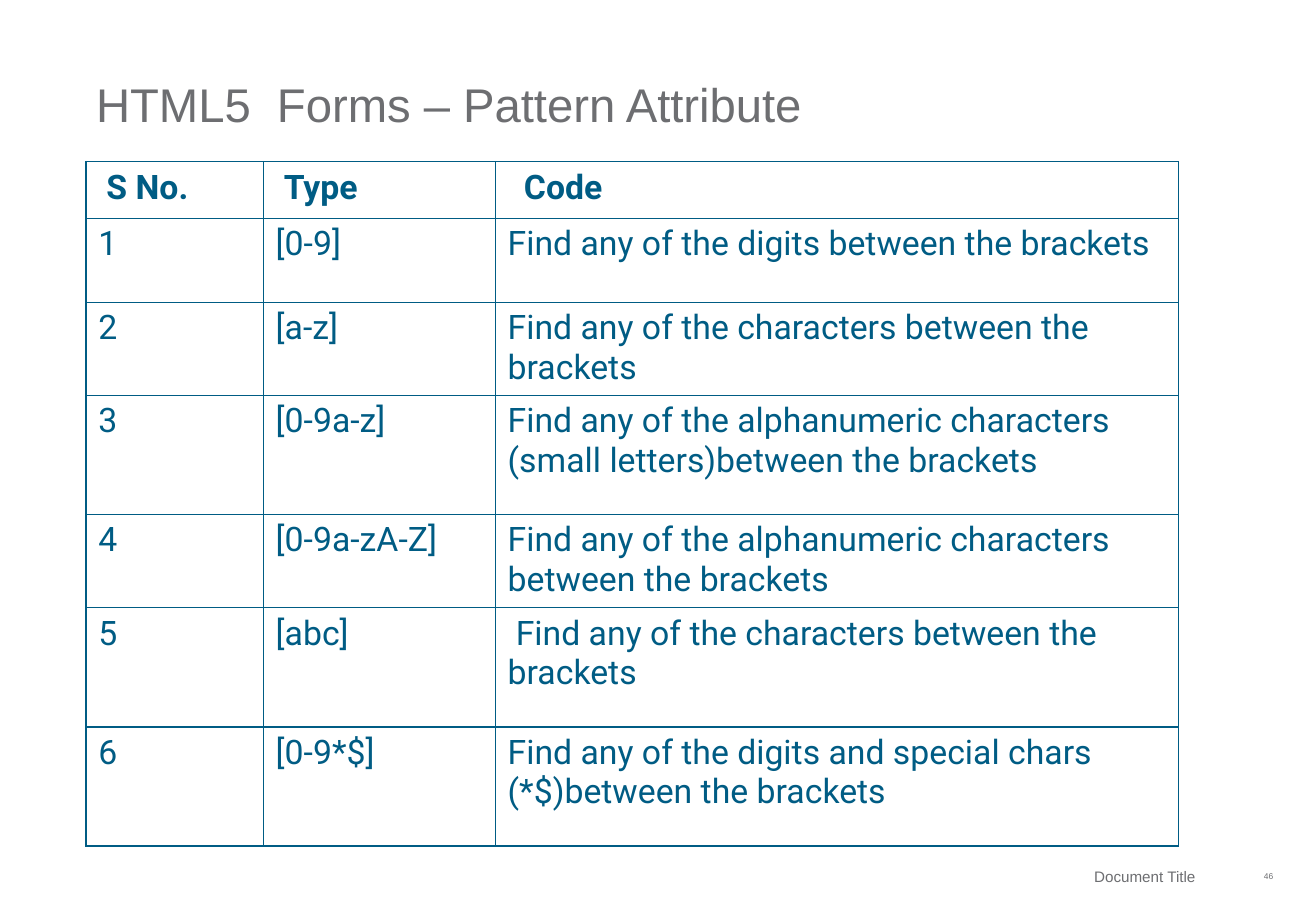
"""Build the HTML5 pattern attribute slide."""
from dataclasses import dataclass

from lxml import etree
from pptx import Presentation
from pptx import util as u
from pptx.dml.color import RGBColor
from pptx.enum import text
from pptx.oxml.ns import qn


@dataclass(frozen=True)
class Theme:
    """Colours, fonts and type sizes."""

    grey: str = "6D6E71"
    blue: str = "005C84"
    white: str = "FFFFFF"
    heading_font: str = "Arial"
    table_font: str = "Roboto"
    title_size: float = 28
    table_size: float = 20
    footer_size: float = 9
    number_size: float = 5


THEME = Theme()
COLUMN_WIDTHS = (3.71, 4.85, 14.28)
SPACE = 0.17
NO_INDENT = (0, 0, 0)
ROWS = (
    (1.19, (SPACE, SPACE, 2 * SPACE), ("S No.", "Type", "Code")),
    (1.75, NO_INDENT, ("1", "[0-9]", "Find any of the digits between the brackets")),
    (1.92, NO_INDENT, ("2", "[a-z]", "Find any of the characters between the brackets")),
    (2.49, NO_INDENT, ("3", "[0-9a-z]", "Find any of the alphanumeric characters "
                       "(small letters)between the brackets")),
    (1.92, NO_INDENT, ("4", "[0-9a-zA-Z]", "Find any of the alphanumeric characters "
                       "between the brackets")),
    (2.49, (0, 0, SPACE), ("5", "[abc]", "Find any of the characters between the brackets")),
    (2.49, NO_INDENT, ("6", "[0-9*$]", "Find any of the digits and special chars "
                       "(*$)between the brackets")),
)


def apply(target, values):
    """Set each named attribute on the target."""
    for name, value in values.items():
        setattr(target, name, value)


def write(para, words, font, size, colour, bold=False):
    """Add one formatted span to a paragraph."""
    span = para.add_run()
    span.text = words
    apply(span.font, {"name": font, "size": u.Pt(size), "bold": bold})
    span.font.color.rgb = RGBColor.from_string(colour)


def add_label(page, words, place, size, align, anchor, inset=(0, 0), spacing=1.0):
    """Add a single-line grey text box."""
    box = page.shapes.add_textbox(*(u.Cm(length) for length in place))
    left, right = inset
    apply(box.text_frame, {
        "word_wrap": True, "vertical_anchor": anchor,
        "margin_left": u.Cm(left), "margin_right": u.Cm(right),
        "margin_top": 0, "margin_bottom": 0,
    })
    para = box.text_frame.paragraphs[0]
    apply(para, {"alignment": align, "line_spacing": spacing})
    write(para, words, THEME.heading_font, size, THEME.grey)


def add_borders(cell):
    """Draw a thin blue line on every side of a cell."""
    properties = cell._tc.get_or_add_tcPr()
    for position, side in enumerate(("lnL", "lnR", "lnT", "lnB")):
        line = etree.Element(qn(f"a:{side}"), w=str(u.Pt(1)))
        fill = etree.SubElement(line, qn("a:solidFill"))
        etree.SubElement(fill, qn("a:srgbClr"), val=THEME.blue)
        properties.insert(position, line)


def fill_cell(cell, words, indent, bold):
    """Write and style one table cell."""
    cell.fill.solid()
    cell.fill.fore_color.rgb = RGBColor.from_string(THEME.white)
    para = cell.text_frame.paragraphs[0]
    para._p.get_or_add_pPr().set("indent", str(u.Cm(indent)))
    write(para, words, THEME.table_font, THEME.table_size, THEME.blue, bold)
    add_borders(cell)


def add_pattern_table(page):
    """Add the table of patterns and their meanings."""
    height = sum(row[0] for row in ROWS)
    place = (1.8, 3.38, sum(COLUMN_WIDTHS), height)
    frame = page.shapes.add_table(len(ROWS), len(COLUMN_WIDTHS), *(u.Cm(x) for x in place))
    table = frame.table
    apply(table, {"first_row": False, "horz_banding": False})
    for column, width in zip(table.columns, COLUMN_WIDTHS):
        column.width = u.Cm(width)
    for index, (row, (row_height, indents, entries)) in enumerate(zip(table.rows, ROWS)):
        row.height = u.Cm(row_height)
        for cell, words, indent in zip(row.cells, entries, indents):
            fill_cell(cell, words, indent, bold=index == 0)


def main():
    """Build and save the deck."""
    deck = Presentation()
    apply(deck, {"slide_width": u.Cm(27.51), "slide_height": u.Cm(19.05)})
    page = deck.slides.add_slide(deck.slide_layouts[6])
    align, anchor = text.PP_ALIGN, text.MSO_ANCHOR
    add_label(page, "46", (25.63, 17.91, 0.99, 0.84), THEME.number_size,
              align.RIGHT, anchor.MIDDLE)
    add_label(page, "Document Title", (15.72, 17.98, 9.65, 0.71), THEME.footer_size,
              align.RIGHT, anchor.MIDDLE, inset=(0, 0.38))
    add_label(page, "HTML5  Forms – Pattern Attribute", (0.64, 1.07, 25.2, 1.7),
              THEME.title_size, align.LEFT, anchor.BOTTOM, inset=(1.37, 0), spacing=0.9)
    add_pattern_table(page)
    deck.save("out.pptx")


if __name__ == "__main__":
    main()
